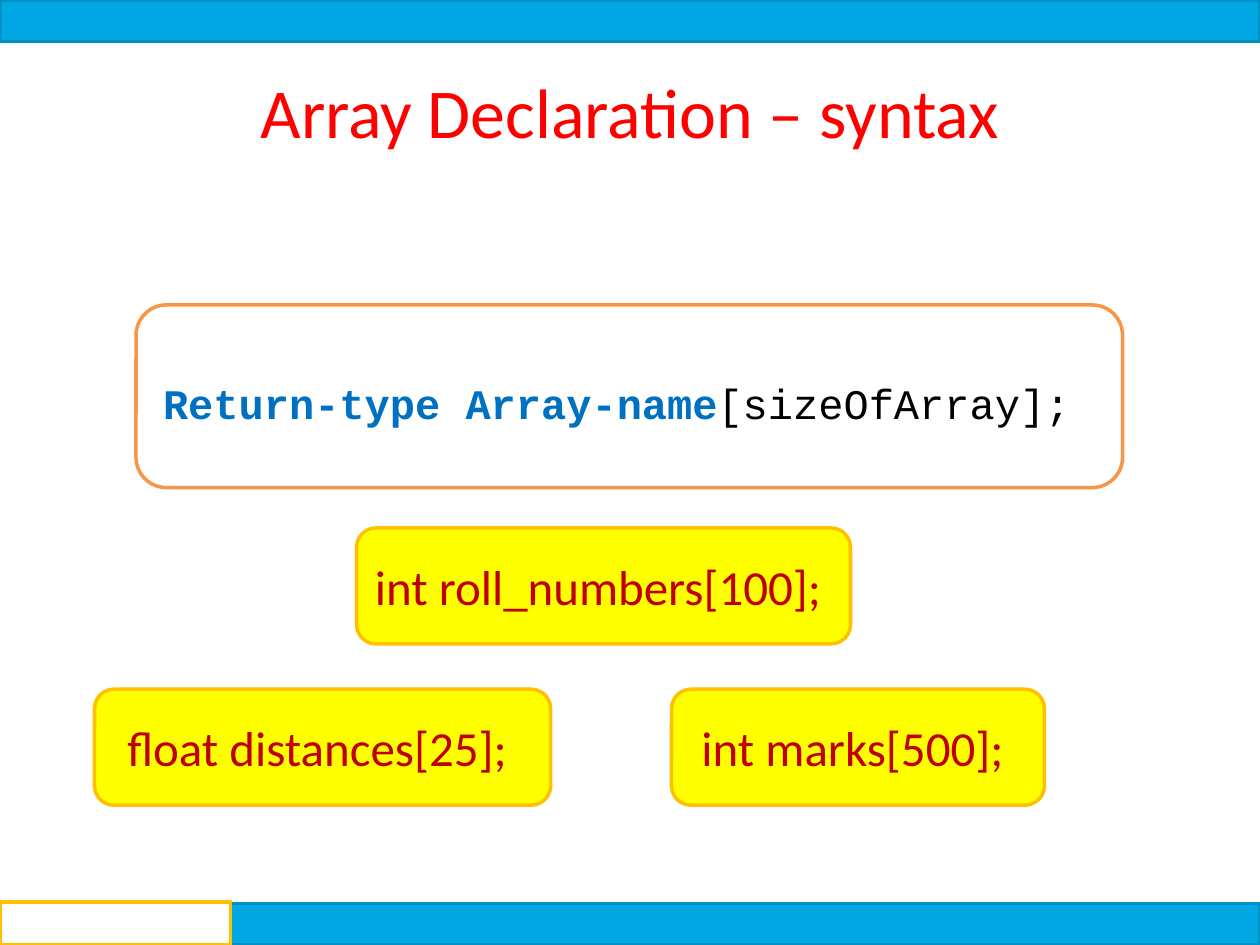
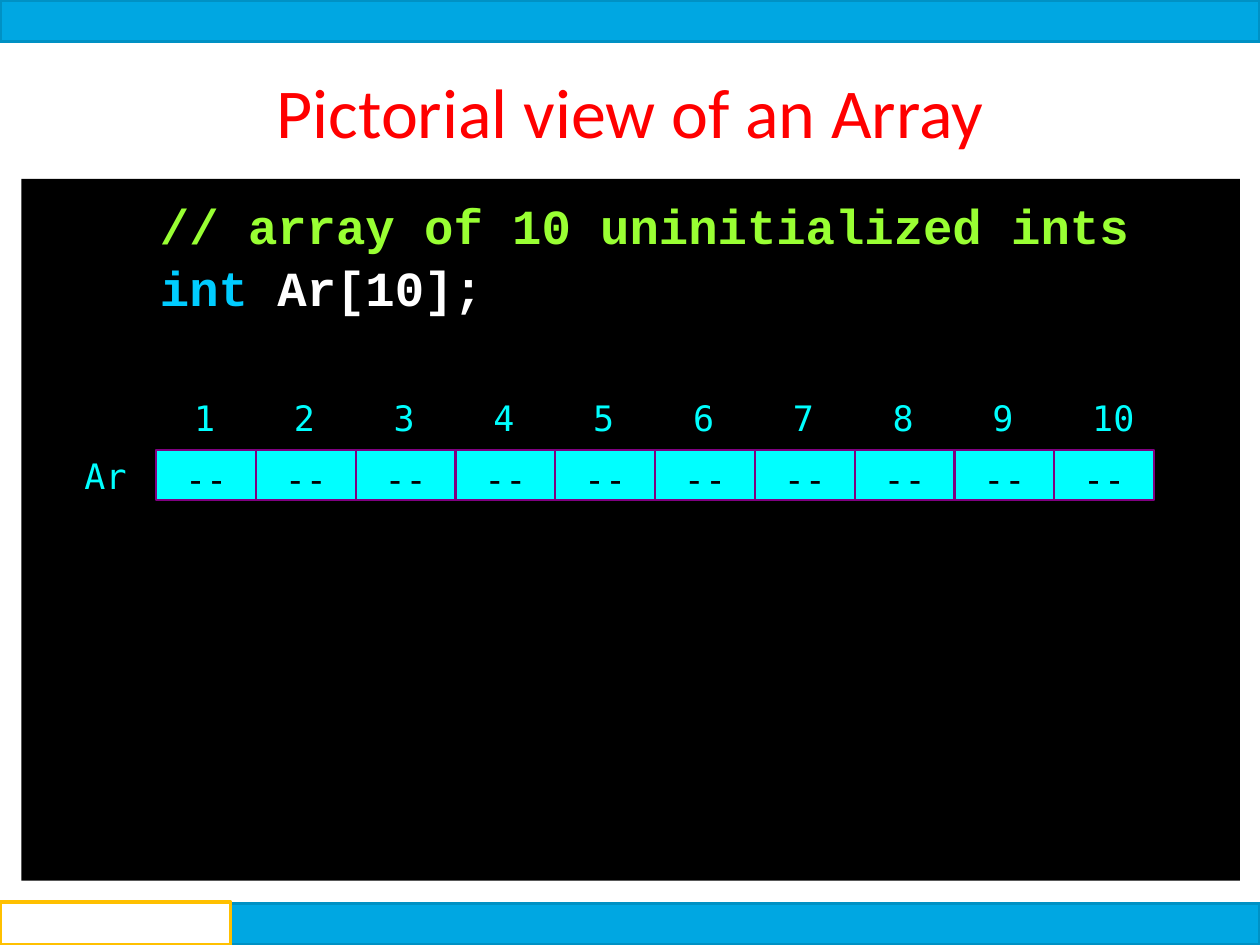
"""Builds two slides on array declaration and the layout of an array."""
from pptx import Presentation
from pptx import util as u
from pptx.dml.color import RGBColor
from pptx.enum import shapes, text

HUES = {
    "band": "00A7E2", "edge": "0091C4", "gold": "FFC000", "white": "FFFFFF",
    "red": "FF0000", "orange": "F79646", "blue": "0070C0", "black": "000000",
    "yellow": "FFFF00", "brick": "C00000", "lime": "99FF33", "sky": "00CCFF",
    "cyan": "00FFFF", "plum": "800080",
}
BODY, CODE, MONO = "Calibri", "Courier New", "DejaVu Sans Mono"
RECT = shapes.MSO_SHAPE.RECTANGLE
ROUND = shapes.MSO_SHAPE.ROUNDED_RECTANGLE
MID, LEFT = text.PP_ALIGN.CENTER, text.PP_ALIGN.LEFT
TOP, CENTRE = text.MSO_ANCHOR.TOP, text.MSO_ANCHOR.MIDDLE


class Deck:
    """Holds the style and the current slide."""

    def __init__(self):
        self.show = Presentation()
        self.show.slide_width, self.show.slide_height = u.Inches(10), u.Inches(7.5)
        self.slide = None

    def hue(self, name):
        return RGBColor.from_string(HUES[name])

    def start(self, title):
        self.slide = self.show.slides.add_slide(self.show.slide_layouts[5])
        head = self.slide.shapes.title
        head.left, head.top = u.Inches(0), u.Inches(0.49)
        head.width, head.height = u.Inches(10), u.Inches(0.77)
        head.text_frame.auto_size = text.MSO_AUTO_SIZE.NONE
        self.letter(head, [[(title, "red", False)]], BODY, 40, anchor=TOP)
        for top in (0, 7.17):
            self.box((0, top, 10, 0.33), "band", "edge")
        self.box((0, 7.16, 1.83, 0.34), "white", "gold", 2.25)

    def box(self, place, fill=None, line=None, width=2, kind=RECT):
        item = self.slide.shapes.add_shape(kind, *map(u.Inches, place))
        item.shadow.inherit = False
        if fill:
            item.fill.solid()
            item.fill.fore_color.rgb = self.hue(fill)
        else:
            item.fill.background()
        if line:
            item.line.color.rgb = self.hue(line)
            item.line.width = u.Pt(width)
        else:
            item.line.fill.background()
        return item

    def letter(self, item, lines, font, size, align=MID, anchor=CENTRE, gap=0):
        frame = item.text_frame
        frame.vertical_anchor = anchor
        for i, line in enumerate(lines):
            para = frame.add_paragraph() if i else frame.paragraphs[0]
            para.alignment = align
            if i:
                para.space_before = u.Pt(gap)
            for words, tint, bold in line:
                run = para.add_run()
                run.text = words
                run.font.name, run.font.size = font, u.Pt(size)
                run.font.bold = bold
                run.font.color.rgb = self.hue(tint)

    def pad(self, item, left=0.1, top=0.05, right=0.1, low=0.05):
        frame = item.text_frame
        frame.margin_left, frame.margin_top = u.Inches(left), u.Inches(top)
        frame.margin_right, frame.margin_bottom = u.Inches(right), u.Inches(low)

    def label(self, left, top, words):
        item = self.slide.shapes.add_textbox(
            *map(u.Inches, (left, top, 0.35, 0.34)))
        self.pad(item, 0, 0, 0, 0)
        item.text_frame.word_wrap = False
        self.letter(item, [[(words, "cyan", False)]], MONO, 20, LEFT, TOP)

    def sample(self, place, words):
        item = self.box(place, "yellow", "gold", kind=ROUND)
        self.letter(item, [[(words, "brick", False)]], BODY, 28)

    def cell(self, left, top, width):
        item = self.box((left, top, width, 0.4), "cyan", "plum", 1.25)
        self.pad(item, 0, 0.05, 0, 0)
        self.letter(item, [[("--", "black", False)]], MONO, 20)


def syntax(deck):
    deck.start("Array Declaration – syntax")
    form = deck.box((1.08, 2.42, 7.83, 1.45), None, "orange", kind=ROUND)
    deck.pad(form, top=0.15)
    deck.letter(form, [[("Return-type Array-name", "blue", True),
                        ("[sizeOfArray]; ", "black", False)]], CODE, 24)
    for left, top, width, words in (
            (2.83, 4.19, 3.92, "int roll_numbers[100]; "),
            (0.75, 5.47, 3.62, "float distances[25]; "),
            (5.33, 5.47, 2.96, "int marks[500]; ")):
        deck.sample((left, top, width, 0.92), words)


def view(deck):
    deck.start("Pictorial view of an Array")
    panel = deck.box((0.17, 1.42, 9.67, 5.57), "black")
    deck.pad(panel, left=1.1, top=0.13)
    deck.letter(panel, [
        [("// array of 10 uninitialized ints", "lime", True)],
        [("int ", "sky", True), ("Ar[10];", "white", True)],
    ], CODE, 28, LEFT, TOP, gap=2)
    deck.label(0.67, 3.61, "Ar")
    count, first = 10, 1.24
    pitch = 7.92 / count
    for i in range(count):
        left = first + i * pitch
        deck.cell(left, 3.57, pitch)
        deck.label(left + 0.3, 3.15, str(i + 1))


def main():
    deck = Deck()
    syntax(deck)
    view(deck)
    deck.show.save("out.pptx")


if __name__ == "__main__":
    main()
